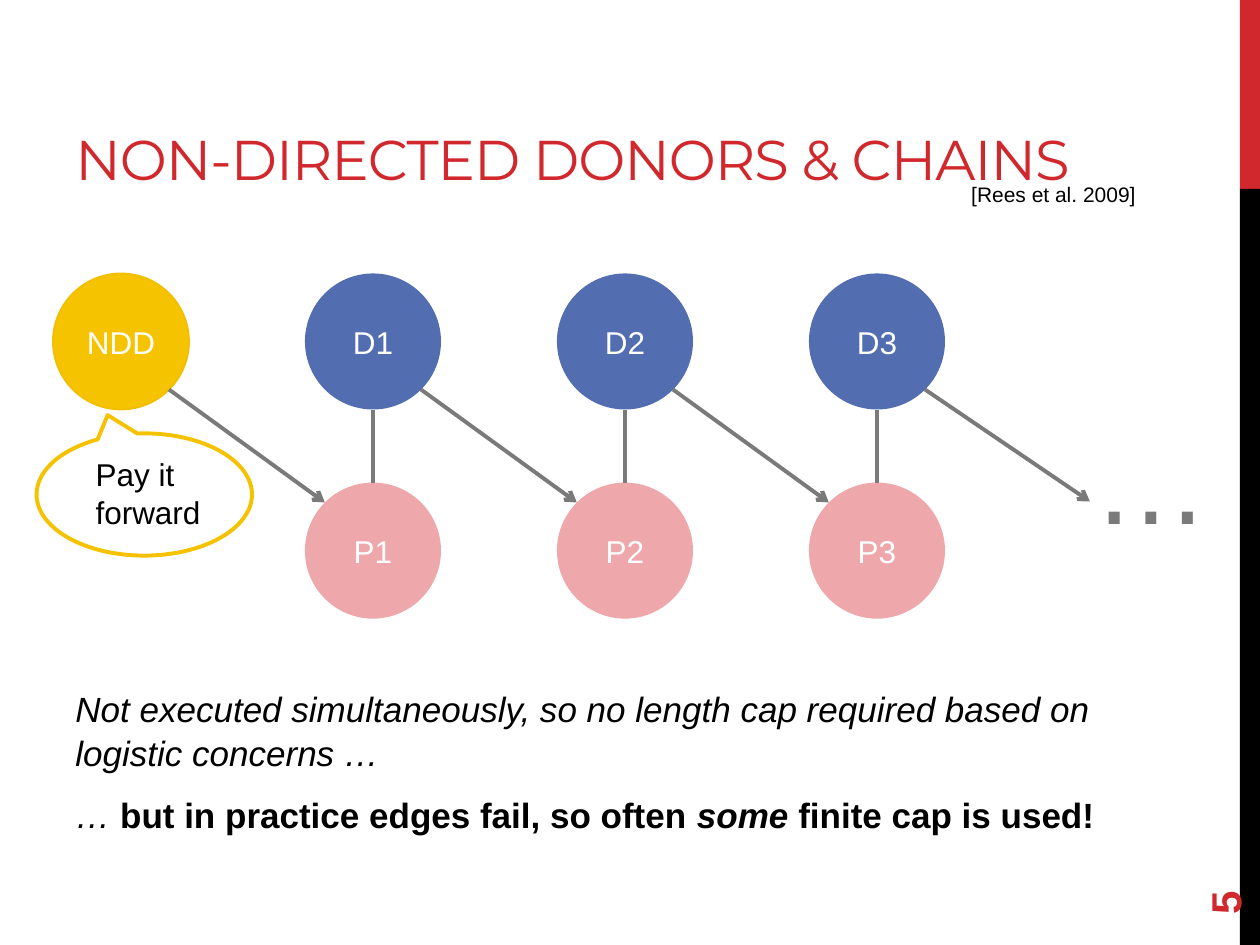
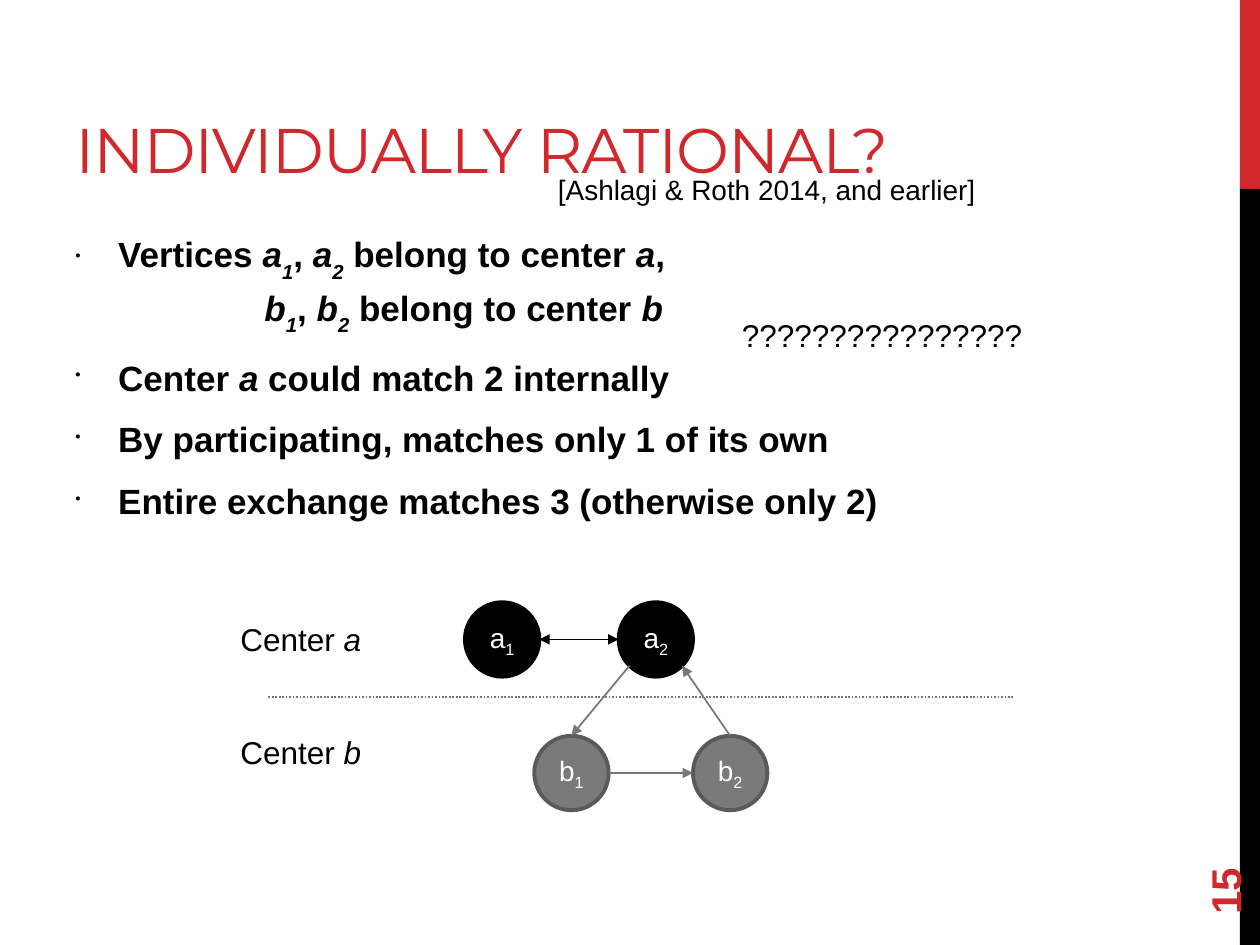
from dataclasses import dataclass
from math import sqrt

from lxml import etree
from pptx import Presentation
from pptx import util as u
from pptx.dml.color import RGBColor
from pptx.enum import dml, shapes, text
from pptx.oxml.ns import qn


@dataclass(frozen=True)
class Theme:
    body_font: str = "Arial"
    title_font: str = "Montserrat"
    red: str = "D1282E"
    black: str = "000000"
    white: str = "FFFFFF"
    gold: str = "F6C300"
    gold_edge: str = "F1BE00"
    callout_edge: str = "F5C201"
    blue: str = "526DB0"
    pink: str = "EEA7AA"
    grey: str = "7A7A7A"
    grey_edge: str = "5A5A5A"
    grey_line: str = "777777"
    ellipsis_size: int = 66
    number_size: int = 24
    body_size: int = 20
    label_size: int = 18
    small_size: int = 16
    cite_size: int = 12
    thick: float = 2.25
    thin: float = 1


theme = Theme()
OVAL = shapes.MSO_SHAPE.OVAL
RECTANGLE = shapes.MSO_SHAPE.RECTANGLE
MIDDLE = text.MSO_ANCHOR.MIDDLE
PLAIN, BOLD, ITALIC = {}, {"bold": True}, {"italic": True}
BOLD_ITALIC = {"bold": True, "italic": True}


def write(page, place, paragraphs, kind=None, fill=None, edge=None, edge_width=1,
          size=theme.label_size, color=theme.black, font=theme.body_font,
          bold=False, spacing=None, anchor=text.MSO_ANCHOR.TOP, line_spacing=None,
          before=0, after=0, bullet=False):
    """Add a text box, or a shape of the given kind, holding paragraphs of (text, style) runs."""
    place = [u.Inches(length) for length in place]
    if kind is None:
        box = page.shapes.add_textbox(*place)
    else:
        box = page.shapes.add_shape(kind, *place)
        box.shadow.inherit = False
        box.fill.solid()
        box.fill.fore_color.rgb = RGBColor.from_string(fill)
        if edge:
            box.line.color.rgb = RGBColor.from_string(edge)
            box.line.width = u.Pt(edge_width)
        else:
            box.line.fill.background()
    frame = box.text_frame
    frame.word_wrap = True
    frame.vertical_anchor = anchor
    if kind is not None:
        frame.margin_left = frame.margin_right = 0
    if isinstance(paragraphs, str):
        paragraphs = [[(paragraphs, PLAIN)]] if paragraphs else []
    for index, runs in enumerate(paragraphs):
        para = frame.paragraphs[0] if index == 0 else frame.add_paragraph()
        if bullet:
            properties = para._p.get_or_add_pPr()
            properties.set("marL", str(u.Inches(0.34)))
            properties.set("indent", str(-u.Inches(0.34)))
            etree.SubElement(properties, qn("a:buSzPct"), val="45000")
            etree.SubElement(properties, qn("a:buChar"), char="•")
        para.alignment = text.PP_ALIGN.CENTER if kind else text.PP_ALIGN.LEFT
        para.line_spacing = line_spacing
        para.space_before = u.Pt(before if index else 0)
        para.space_after = u.Pt(after)
        for words, style in runs:
            span = para.add_run()
            span.text = words
            span.font.name = font
            span.font.size = u.Pt(size)
            span.font.color.rgb = RGBColor.from_string(color)
            span.font.bold = style.get("bold", bold)
            span.font.italic = style.get("italic", False)
            if "baseline" in style:
                span.font._element.set("baseline", str(style["baseline"] * 1000))
            if spacing:
                span.font._element.set("spc", str(spacing))
    return box


def draw_line(page, start, end, color, width, head=None, tail=None, dash=None):
    """Add a straight connector with optional arrowheads at its start and end."""
    points = [u.Inches(length) for length in (*start, *end)]
    connector = page.shapes.add_connector(shapes.MSO_CONNECTOR.STRAIGHT, *points)
    connector.line.color.rgb = RGBColor.from_string(color)
    connector.line.width = u.Pt(width)
    if dash:
        connector.line.dash_style = dash
    outline = connector.line._get_or_add_ln()
    for tag, arrow in (("a:headEnd", head), ("a:tailEnd", tail)):
        if arrow:
            etree.SubElement(outline, qn(tag), type=arrow)
    etree.SubElement(connector._element.spPr, qn("a:effectLst"))


deck = Presentation()
deck.slide_width, deck.slide_height = u.Inches(10), u.Inches(7.5)

# Shared frame: side bands, title and rotated slide number
pages = []
for title, title_size, title_place, number in (
    ("NON-DIRECTED DONORS & CHAINS", 32, (0.5, 0.32, 9, 1.25), "5"),
    ("INDIVIDUALLY RATIONAL?", 36, (0.5, 0.37, 9, 1.16), "15"),
):
    page = deck.slides.add_slide(deck.slide_layouts[6])
    write(page, (9.84, 0, 0.16, 1.5), "", kind=RECTANGLE, fill=theme.red)
    write(page, (9.84, 1.5, 0.16, 6), "", kind=RECTANGLE, fill=theme.black)
    write(page, title_place, title, size=title_size, color=theme.red,
          font=theme.title_font, spacing=-60, anchor=text.MSO_ANCHOR.BOTTOM)
    number_box = write(page, (9, 6.44, 1.44, 0.4), number, size=theme.number_size,
                       color=theme.red, bold=True, anchor=MIDDLE)
    number_box.rotation = 270
    pages.append(page)
chain_page, rational_page = pages

# Slide 1: donors above, patients below
node, step, first_left = 1.08, 2, 0.42
donor_top, patient_top = 2.17, 3.83
radius = node / 2
diagonal = radius / sqrt(2)
for column, donor in enumerate(("NDD", "D1", "D2", "D3")):
    left = first_left + column * step
    center = left + radius
    write(chain_page, (left, donor_top, node, node), donor, kind=OVAL,
          fill=theme.blue if column else theme.gold,
          edge=None if column else theme.gold_edge, color=theme.white, anchor=MIDDLE)
    if column:
        write(chain_page, (left, patient_top, node, node), f"P{column}", kind=OVAL,
              fill=theme.pink, color=theme.white, anchor=MIDDLE)
        draw_line(chain_page, (center, patient_top), (center, donor_top + node),
                  theme.grey, theme.thick)
    if column < 3:
        target = (center + step - diagonal, patient_top + radius - diagonal)
    else:
        target = (8.65, 3.98)
    draw_line(chain_page, (center + diagonal, donor_top + radius + diagonal), target,
              theme.grey, theme.thick, tail="arrow")
write(chain_page, (8.58, 3.2, 1, 1.21), "…", size=theme.ellipsis_size, color=theme.grey)

# Slide 1: callout and citation
callout = write(chain_page, (0.29, 3.44, 1.71, 0.97), "",
                kind=shapes.MSO_SHAPE.OVAL_CALLOUT, fill=theme.white,
                edge=theme.callout_edge, edge_width=theme.thick)
callout.adjustments[0], callout.adjustments[1] = -0.17, -0.65
write(chain_page, (0.66, 3.56, 1.59, 0.71), "Pay it forward")
write(chain_page, (7.61, 1.39, 2.92, 0.3), "[Rees et al. 2009]", size=theme.cite_size)

# Slide 1: conclusion
body_format = dict(size=theme.body_size, line_spacing=1.05, before=4, after=6)
write(chain_page, (0.5, 5.39, 9, 1.55), [
    [("Not executed simultaneously, so no length cap required based on "
      "logistic concerns …", ITALIC)],
    [("… ", ITALIC), ("but in practice edges fail, so often ", BOLD),
     ("some", BOLD_ITALIC), (" finite cap is used!", BOLD)],
], **body_format)

# Slide 2: bullets, the second line of the first one set deeper
subscript = {**BOLD_ITALIC, "baseline": -33}
pairs = {
    center: [(center, BOLD_ITALIC), ("1", subscript), (", ", BOLD),
             (center, BOLD_ITALIC), ("2", subscript),
             (" belong to center ", BOLD), (center, BOLD_ITALIC)]
    for center in "ab"
}
bullets = write(rational_page, (0.5, 1.78, 9, 4.95), [
    [("Vertices ", BOLD), *pairs["a"], (",", BOLD)],
    pairs["b"],
    [("Center ", BOLD), ("a", BOLD_ITALIC), (" could match 2 internally", BOLD)],
    [("By participating, matches only 1 of its own", BOLD)],
    [("Entire exchange matches 3 (otherwise only 2)", BOLD)],
], bullet=True, **body_format)
first_line, second_line = bullets.text_frame.paragraphs[:2]
first_line.space_after = second_line.space_before = u.Pt(0)
properties = second_line._p.get_or_add_pPr()
properties.set("marL", str(u.Inches(1.5)))
properties.set("indent", "0")
properties.remove(properties.find(qn("a:buSzPct")))
bullet_mark = properties.find(qn("a:buChar"))
properties.replace(bullet_mark, etree.Element(qn("a:buNone")))

# Slide 2: citation and question marks
write(rational_page, (4.33, 1.32, 3.82, 0.37), "[Ashlagi & Roth 2014, and earlier]",
      size=theme.small_size)
write(rational_page, (5.79, 2.46, 2.93, 0.4), "?" * 16)

# Slide 2: exchange graph, one row of vertices per center
vertex = 0.59
half = vertex / 2
corner = half / sqrt(2)
middles = {}
for center, label_top, top, lefts, fill, edge in (
    ("a", 4.87, 4.78, (3.69, 4.91), theme.black, theme.black),
    ("b", 5.77, 5.84, (4.24, 5.5), theme.grey, theme.grey_edge),
):
    write(rational_page, (1.81, label_top, 1.52, 0.4),
          [[("Center ", PLAIN), (center, ITALIC)]])
    for order, left in enumerate(lefts, start=1):
        write(rational_page, (left, top, vertex, vertex),
              [[(center, PLAIN), (str(order), {"baseline": -25})]],
              kind=OVAL, fill=fill, edge=edge, edge_width=theme.thick,
              size=theme.small_size, color=theme.white, anchor=MIDDLE)
        middles[f"{center}{order}"] = (left + half, top + half)

# Slide 2: edges between vertices and the divider between centers
(a1_x, a_y), (a2_x, _) = middles["a1"], middles["a2"]
(b1_x, b_y), (b2_x, _) = middles["b1"], middles["b2"]
for start, end, color, head in (
    ((a1_x + half, a_y), (a2_x - half, a_y), theme.black, "triangle"),
    ((a2_x - corner, a_y + corner), (b1_x, b_y - half), theme.grey_line, None),
    ((b1_x + half, b_y), (b2_x - half, b_y), theme.grey_line, None),
    ((b2_x, b_y - half), (a2_x + corner, a_y + corner), theme.grey_line, None),
):
    draw_line(rational_page, start, end, color, theme.thin, head=head, tail="triangle")
draw_line(rational_page, (2.13, 5.53), (8.04, 5.53), theme.grey_line, theme.thin,
          dash=dml.MSO_LINE.ROUND_DOT)

deck.save("out.pptx")
